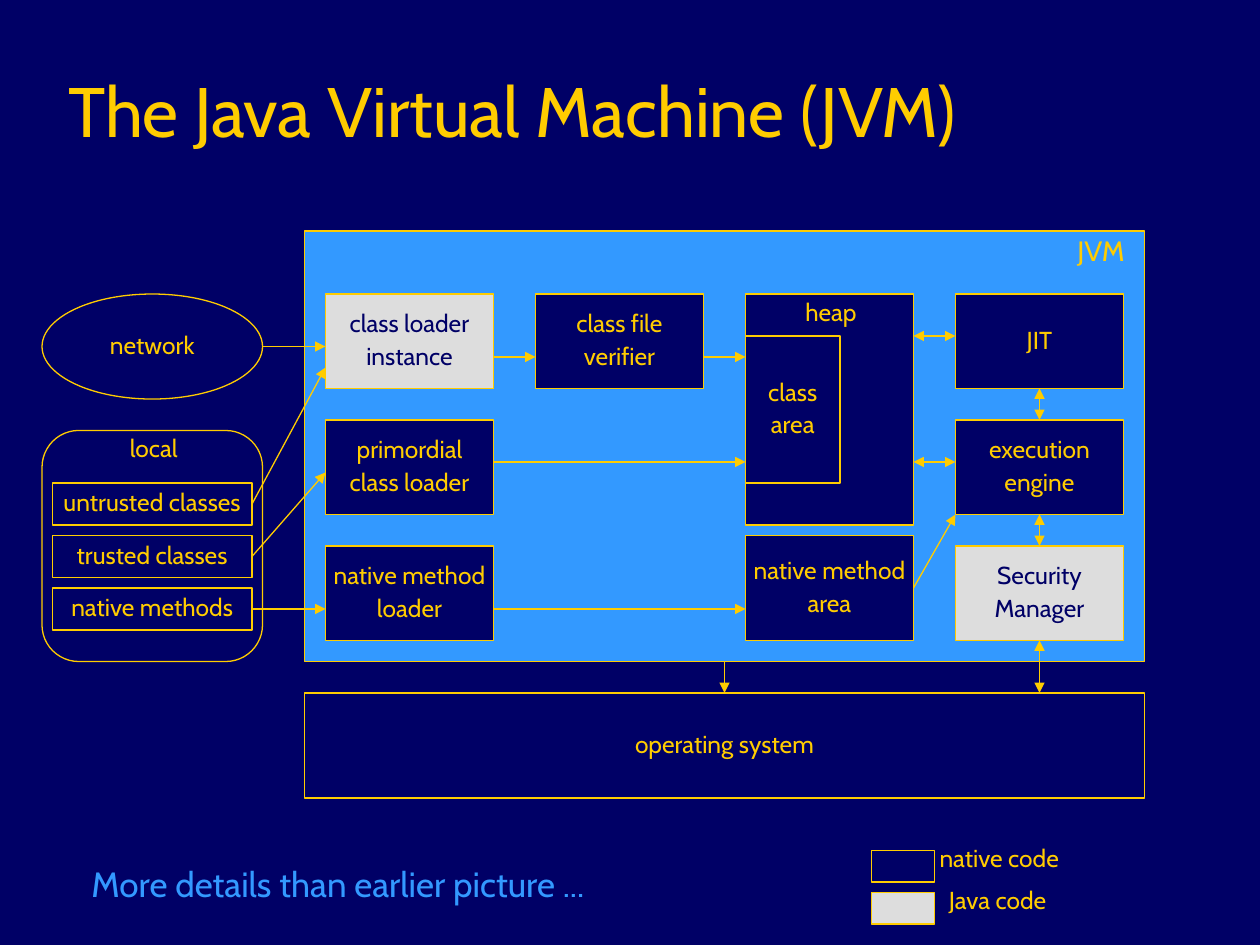
from pptx import Presentation
from pptx.dml.color import RGBColor
from pptx.enum.shapes import MSO_CONNECTOR, MSO_SHAPE
from pptx.enum.text import MSO_ANCHOR, MSO_AUTO_SIZE, PP_ALIGN
from pptx.oxml.ns import qn
from pptx.util import Inches, Pt
from lxml import etree

RECT, OVAL, ROUND = MSO_SHAPE.RECTANGLE, MSO_SHAPE.OVAL, MSO_SHAPE.ROUNDED_RECTANGLE
STRAIGHT = MSO_CONNECTOR.STRAIGHT
TOP, MIDDLE, BOTTOM = MSO_ANCHOR.TOP, MSO_ANCHOR.MIDDLE, MSO_ANCHOR.BOTTOM
LEFT, CENTER = PP_ALIGN.LEFT, PP_ALIGN.CENTER
NO_FIT = MSO_AUTO_SIZE.NONE
NAVY, GOLD, BLUE, GREY = "000066", "FFCC00", "3399FF", "DDDDDD"
FONT = "Cabin"


def grid(*nums):
    """Turn grid units of a twelfth of an inch into lengths."""
    return [Inches(n / 12) for n in nums]


def color(code):
    return RGBColor.from_string(code)


def write(shape, text, ink=GOLD, size=14, align=CENTER, anchor=MIDDLE):
    frame = shape.text_frame
    frame.word_wrap = False
    frame.vertical_anchor = anchor
    frame.text = text
    for para in frame.paragraphs:
        para.alignment = align
        para.line_spacing = 0.9
        para.space_before = Pt(size / 4)
        para.font.name = FONT
        para.font.size = Pt(size)
        para.font.color.rgb = color(ink)


def box(slide, x, y, w, h, text="", fill=NAVY, kind=RECT):
    shape = slide.shapes.add_shape(kind, *grid(x, y, w, h))
    shape.shadow.inherit = False
    shape.fill.solid()
    shape.fill.fore_color.rgb = color(fill)
    shape.line.color.rgb = color(GOLD)
    shape.line.width = Pt(0.75)
    if text:
        write(shape, text, NAVY if fill == GREY else GOLD)


def label(slide, x, y, w, h, text, **style):
    shape = slide.shapes.add_textbox(*grid(x, y, w, h))
    write(shape, text, anchor=TOP, **style)


def arrow(slide, x1, y1, x2, y2, both=False):
    link = slide.shapes.add_connector(STRAIGHT, *grid(x1, y1, x2, y2))
    link.line.color.rgb = color(GOLD)
    link.line.width = Pt(0.75)
    line = link.line._get_or_add_ln()
    for end in ("a:headEnd", "a:tailEnd") if both else ("a:tailEnd",):
        etree.SubElement(line, qn(end), type="triangle")
    etree.SubElement(link._element.spPr, qn("a:effectLst"))


def add_title(slide, x, y, w, h):
    title = slide.shapes.title
    title.left, title.top, title.width, title.height = grid(x, y, w, h)
    frame = title.text_frame
    frame.text = "The Java Virtual Machine (JVM)"
    frame.auto_size = NO_FIT
    frame.vertical_anchor = BOTTOM
    para = frame.paragraphs[0]
    para.alignment = LEFT
    para.font.name = FONT
    para.font.size = Pt(40)
    para.font.color.rgb = color(GOLD)


def add_jvm(slide, x, y, w, h):
    box(slide, x, y, w, h, fill=BLUE)
    label(slide, x + 72.3, y, 7.1, 4.1, "JVM", size=16)
    cols = [x + 2 + 20 * i for i in range(4)]
    rows = [y + 6 + 12 * i for i in range(3)]

    # Parts of equal size, by column and row
    parts = [
        (0, 0, "class loader\ninstance", GREY),
        (1, 0, "class file\nverifier", NAVY),
        (3, 0, "JIT", NAVY),
        (0, 1, "primordial\nclass loader", NAVY),
        (3, 1, "execution\nengine", NAVY),
        (0, 2, "native method\nloader", NAVY),
        (3, 2, "Security\nManager", GREY),
    ]
    for col, row, text, fill in parts:
        box(slide, cols[col], rows[row], 16, 9, text, fill)

    # Memory areas
    heap = cols[2]
    box(slide, heap, rows[0], 16, 22)
    label(slide, heap + 4.2, rows[0], 7.9, 3.7, "heap")
    box(slide, heap, rows[0] + 4, 9, 14, "class\narea")
    box(slide, heap, y + 29, 16, 10, "native method\narea")

    # Loading, left to right
    for start, end, down in ((0, 1, 12), (1, 2, 12), (0, 2, 22), (0, 2, 36)):
        arrow(slide, cols[start] + 16, y + down, cols[end], y + down)

    # Links between memory and execution
    for down in (10, 22):
        arrow(slide, heap + 16, y + down, cols[3], y + down, both=True)
    arrow(slide, heap + 16, y + 34, cols[3], rows[1] + 9)
    for row, gap in zip(rows, (3, 3, 5)):
        arrow(slide, cols[3] + 8, row + 9, cols[3] + 8, row + 9 + gap, both=True)


def add_system(slide, x, y, w, h):
    box(slide, x, y, w, h, "operating system")
    arrow(slide, x + w / 2, y - 3, x + w / 2, y)


def add_sources(slide, x, y, w, h):
    box(slide, x, y, w, 10, "network", kind=OVAL)
    arrow(slide, x + w, y + 5, x + w + 6, y + 5)

    # Local classes, each with the height its arrow ends at
    box(slide, x, y + 13, w, h - 13, kind=ROUND)
    label(slide, x + 6.9, y + 13, 7.5, 3.7, "local")
    items = [("untrusted classes", 7), ("trusted classes", 17), ("native methods", 30)]
    for i, (text, end) in enumerate(items):
        top = y + 18 + 5 * i
        box(slide, x + 1, top, w - 2, 4, text)
        arrow(slide, x + w - 1, top + 2, x + w + 6, y + end)


def add_legend(slide, x, y):
    rows = [("native code", NAVY, 5.3, 15), ("Java code", GREY, 6.2, 12.7)]
    for i, (text, fill, indent, width) in enumerate(rows):
        top = y + 4 * i
        box(slide, x, top, 6, 3, fill=fill)
        label(slide, x + indent, top - 1, width, 3.7, text, align=LEFT)


def main():
    deck = Presentation()
    deck.slide_width, deck.slide_height = Inches(10), Inches(7.5)
    slide = deck.slides.add_slide(deck.slide_layouts[5])
    slide.background.fill.solid()
    slide.background.fill.fore_color.rgb = color(NAVY)

    add_title(slide, 5.3, 3, 102, 12)
    add_jvm(slide, 29, 22, 80, 41)
    add_system(slide, 29, 66, 80, 10)
    add_sources(slide, 4, 28, 21, 35)
    add_legend(slide, 83, 81)
    label(slide, 4, 82, 56.4, 4.8, "More details than earlier picture ...",
          ink=BLUE, size=20)
    deck.save("out.pptx")


if __name__ == "__main__":
    main()
